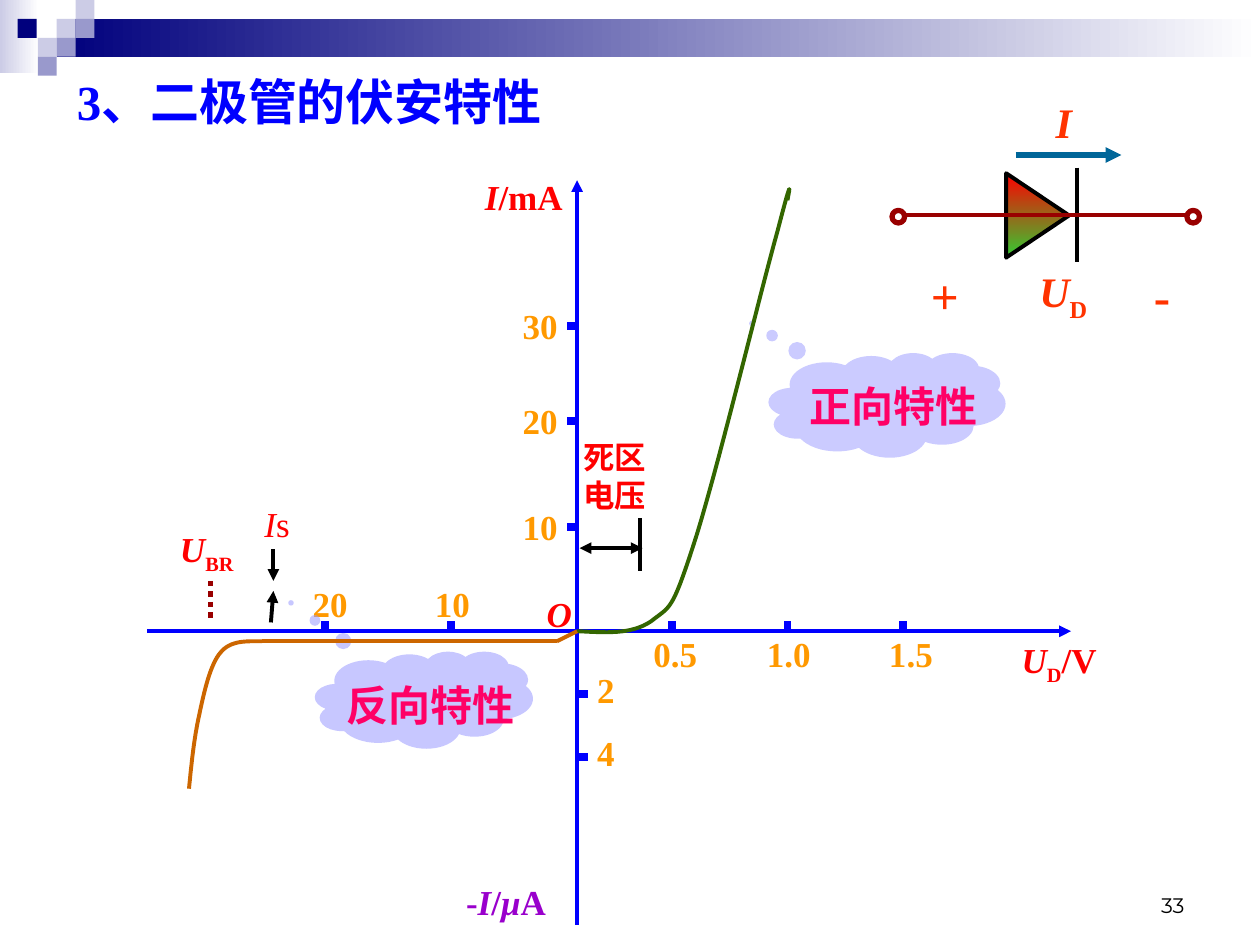
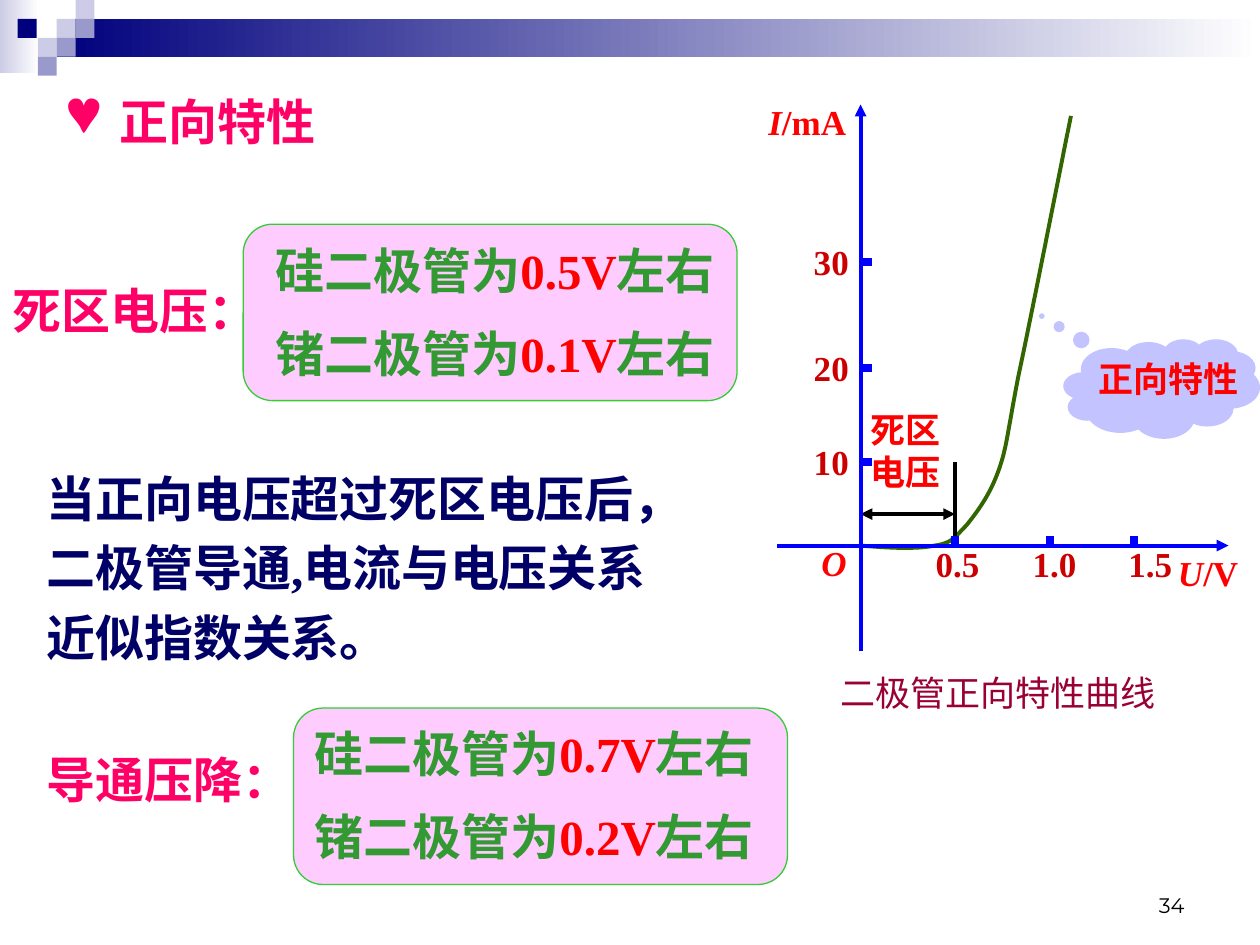
from itertools import chain
from typing import NamedTuple

from lxml.etree import SubElement as sub_el
from pptx import Presentation
from pptx.dml.color import RGBColor as Rgb
from pptx.enum.dml import MSO_LINE as Dash
from pptx.enum.shapes import MSO_CONNECTOR as Conn, MSO_SHAPE as Kind
from pptx.enum.text import MSO_ANCHOR as Anchor, MSO_AUTO_SIZE as Auto, PP_ALIGN as Align
from pptx.oxml.ns import qn
from pptx.slide import Slide
from pptx.util import Pt

PX = 9144  # EMU per px, 100 px to the inch
SERIF, SANS = "Times New Roman", "Montserrat"

BLACK = Rgb(0x00, 0x00, 0x00)
WHITE = Rgb(0xFF, 0xFF, 0xFF)
NAVY = Rgb(0x00, 0x00, 0x7D)
MIST = Rgb(0xCC, 0xCC, 0xE6)
LILAC = Rgb(0x99, 0x99, 0xCC)
CLOUD = Rgb(0x99, 0x99, 0xFF)
BLUE = Rgb(0x00, 0x00, 0xFF)
INK = Rgb(0x00, 0x00, 0x66)
TEAL = Rgb(0x00, 0x66, 0x99)
RED = Rgb(0xFF, 0x00, 0x00)
CRIMSON = Rgb(0xCC, 0x00, 0x00)
MAROON = Rgb(0x99, 0x00, 0x00)
WINE = Rgb(0x99, 0x00, 0x33)
ROSE = Rgb(0xFF, 0x00, 0x66)
CORAL = Rgb(0xFF, 0x33, 0x00)
AMBER = Rgb(0xFF, 0x99, 0x00)
RUST = Rgb(0xCC, 0x66, 0x00)
PLUM = Rgb(0x99, 0x00, 0xCC)
LIME = Rgb(0x33, 0xCC, 0x33)
GREEN = Rgb(0x33, 0x99, 0x33)
MOSS = Rgb(0x33, 0x66, 0x00)
PINK = Rgb(0xFF, 0xCC, 0xFF)

Point = tuple[float, float]
Box = tuple[int, int, int, int]


class Run(NamedTuple):
    text: str
    color: Rgb
    ital: bool = False
    bold: bool = True
    sub: bool = False
    font: str = SERIF


class Label(NamedTuple):
    box: Box
    size: int
    paras: list[list[Run]]
    align: Align = Align.LEFT
    gap: int = 0


class Wire(NamedTuple):
    ends: Box
    color: Rgb
    width: float = 2.25
    tail: bool = False
    head: bool = False
    dash: Dash | None = None


class Cloud(NamedTuple):
    box: Box
    tip: Point
    alpha: int


class Curve(NamedTuple):
    color: Rgb
    start: Point
    bends: list[tuple[Point, Point, Point]]


def scale(box: Box) -> list[int]:
    return [n * PX for n in box]


# Text
def write(frame, label: Label) -> None:
    frame.word_wrap = True
    for i, runs in enumerate(label.paras):
        para = frame.add_paragraph() if i else frame.paragraphs[0]
        para.alignment = label.align
        if i:
            para.space_before = Pt(label.gap)
        for item in runs:
            run = para.add_run()
            run.text = item.text
            font = run.font
            font.name, font.size = item.font, Pt(label.size)
            font.bold, font.italic = item.bold, item.ital
            font.color.rgb = item.color
            if item.sub:
                run._r.get_or_add_rPr().set("baseline", "-25000")


def add_label(slide: Slide, label: Label):
    frame = slide.shapes.add_textbox(*scale(label.box)).text_frame
    write(frame, label)
    return frame


def plain(box: Box, size: int, text: str, color: Rgb, align: Align = Align.LEFT) -> Label:
    return Label(box, size, [[Run(text, color)]], align)


def set_title(slide: Slide, label: Label, mark: str = "") -> None:
    title = slide.shapes.title
    title.left, title.top, title.width, title.height = scale(label.box)
    frame = title.text_frame
    frame.auto_size, frame.vertical_anchor = Auto.NONE, Anchor.TOP
    if mark:
        props = frame.paragraphs[0]._p.get_or_add_pPr()
        props.set("marL", str(42 * PX))
        props.set("indent", str(-42 * PX))
        tint = sub_el(props, qn("a:buClr"))
        sub_el(tint, qn("a:srgbClr"), val=str(label.paras[0][0].color))
        sub_el(props, qn("a:buChar"), char=mark)
    write(frame, label)


# Shapes
def add_form(slide: Slide, kind: Kind, box: Box, fill: Rgb | tuple[Rgb, Rgb] | None,
             line: Rgb | None = None, width: float = 0.75):
    form = slide.shapes.add_shape(kind, *scale(box))
    form.shadow.inherit = False
    if fill is None:
        form.fill.background()
    elif isinstance(fill, Rgb):
        form.fill.solid()
        form.fill.fore_color.rgb = fill
    else:
        form.fill.gradient()
        form.fill.gradient_angle = 0
        for stop, color in zip(form.fill.gradient_stops, fill):
            stop.color.rgb = color
    if line is None:
        form.line.fill.background()
    else:
        form.line.color.rgb, form.line.width = line, Pt(width)
    return form


def add_cloud(slide: Slide, cloud: Cloud) -> None:
    form = add_form(slide, Kind.CLOUD_CALLOUT, cloud.box, CLOUD)
    form.adjustments[0], form.adjustments[1] = cloud.tip
    color = form._element.spPr.find(qn("a:solidFill"))[0]
    sub_el(color, qn("a:alpha"), val=str(cloud.alpha * 1000))


def add_wire(slide: Slide, wire: Wire) -> None:
    link = slide.shapes.add_connector(Conn.STRAIGHT, *scale(wire.ends))
    link.line.color.rgb, link.line.width = wire.color, Pt(wire.width)
    if wire.dash is not None:
        link.line.dash_style = wire.dash
    for tag, shown in (("a:headEnd", wire.head), ("a:tailEnd", wire.tail)):
        if shown:
            sub_el(link.line._get_or_add_ln(), qn(tag), type="triangle")
    sub_el(link._element.spPr, qn("a:effectLst"))


def add_curve(slide: Slide, curve: Curve, steps: int = 16) -> None:
    points, last = [], curve.start
    for a, b, end in curve.bends:
        for t in (i / steps for i in range(1, steps + 1)):
            u = 1 - t
            points.append(tuple(
                PX * (u**3 * p + 3 * u * u * t * q + 3 * u * t * t * r + t**3 * s)
                for p, q, r, s in zip(last, a, b, end)))
        last = end
    pen = slide.shapes.build_freeform(*(PX * n for n in curve.start), scale=1.0)
    pen.add_line_segments(points, close=False)
    form = pen.convert_to_shape()
    form.shadow.inherit = False
    form.fill.background()
    form.line.color.rgb, form.line.width = curve.color, Pt(2.25)


# Parts shared by both slides
def start_slide(deck, number: int) -> Slide:
    slide = deck.slides.add_slide(deck.slide_layouts[5])
    add_form(slide, Kind.RECTANGLE, (0, 0, 31, 58), (MIST, WHITE))
    add_form(slide, Kind.RECTANGLE, (45, 15, 955, 30), (NAVY, WHITE))
    for x, y, color in ((45, 15, MIST), (60, 0, MIST), (60, 15, LILAC), (30, 30, MIST),
                        (14, 15, NAVY), (45, 30, LILAC), (30, 45, LILAC)):
        add_form(slide, Kind.RECTANGLE, (x, y, 15, 15), color)
    page = Label((717, 683, 233, 50), 12,
                 [[Run(str(number), BLACK, bold=False, font=SANS)]], Align.RIGHT)
    add_label(slide, page).vertical_anchor = Anchor.BOTTOM
    return slide


def add_axes(slide: Slide, flat: Box, tall: Box) -> None:
    for ends in (flat, tall):
        add_wire(slide, Wire(ends, BLUE, tail=True))


def mark_x(slide: Slide, axis: int, top: int, color: Rgb,
           marks: list[tuple[int, int, str]]) -> None:
    """Each mark holds the tick's x, the label's middle and the label."""
    for x, mid, text in marks:
        add_wire(slide, Wire((x, axis - 8, x, axis), BLUE, 4.5))
        add_label(slide, plain((mid - 30, top, 60, 43), 20, text, color, Align.CENTER))


def mark_y(slide: Slide, tick: int, left: int, rise: int, color: Rgb,
           marks: list[tuple[int, str]]) -> None:
    for y, text in marks:
        add_wire(slide, Wire((tick, y, tick + 9, y), BLUE, 4.5))
        add_label(slide, plain((left, y - rise, 58, 43), 20, text, color))


def unit(box: Box, sign: str, rest: str, base: str = "") -> Label:
    runs = [Run(sign, RED, ital=True), Run(base, RED, sub=True), Run(rest, RED)]
    return Label(box, 20, [[run for run in runs if run.text]])


# Slide 33: full curve and the symbol
def draw_full(deck) -> None:
    slide = start_slide(deck, 33)
    set_title(slide, plain((51, 52, 417, 57), 28, "3、二极管的伏安特性", BLUE))

    add_axes(slide, (117, 501, 850, 501), (458, 734, 458, 143))
    mark_y(slide, 450, 405, 22, AMBER, [(259, "30"), (334, "20"), (418, "10")])
    mark_y(slide, 458, 464, 25, AMBER, [(551, "2"), (601, "4")])
    mark_x(slide, 501, 497, AMBER,
           [(533, 536, "0.5"), (625, 626, "1.0"), (717, 723, "1.5")])
    mark_x(slide, 501, 457, AMBER, [(258, 262, "20"), (358, 359, "10")])

    for cloud in (Cloud((610, 280, 188, 83), (-0.57, -0.78), 51),
                  Cloud((250, 517, 173, 77), (-0.61, -1), 55)):
        add_cloud(slide, cloud)

    add_curve(slide, Curve(MOSS, (458, 501), [
        ((480, 502), (501, 504), (517, 493)),
        ((532, 481), (533, 486), (550, 434)),
        ((567, 383), (604, 230), (617, 184)),
        ((629, 138), (627, 149), (625, 159))]))
    add_curve(slide, Curve(RUST, (208, 509), [
        ((196, 509), (183, 508), (175, 518)),
        ((167, 527), (162, 549), (158, 568)),
        ((154, 586), (152, 606), (150, 626))]))

    for wire in (
        Wire((458, 501, 442, 509), RUST),
        Wire((442, 509, 208, 509), RUST),
        Wire((508, 453, 508, 411), BLACK),
        Wire((460, 435, 510, 435), BLACK, tail=True, head=True),
        Wire((217, 436, 217, 461), BLACK, tail=True),
        Wire((215, 494, 217, 469), BLACK, tail=True),
        Wire((167, 461, 167, 494), MAROON, 3, dash=Dash.ROUND_DOT),
        Wire((806, 123, 890, 123), TEAL, 3, tail=True),
    ):
        add_wire(slide, wire)

    for label in (
        unit((375, 134, 92, 43), "I", "/mA"),
        unit((801, 502, 92, 43), "U", "/V", "D"),
        unit((424, 465, 50, 43), "O", ""),
        unit((133, 414, 66, 43), "U", "", "BR"),
        Label((200, 394, 45, 43), 20, [[Run("I", RED, True, False), Run("s", RED, bold=False)]]),
        Label((360, 694, 115, 43), 20, [[Run("-", PLUM), Run("I", PLUM, True), Run("/", PLUM),
                                         Run("μ", PLUM, True), Run("А", PLUM)]]),
        plain((633, 297, 166, 50), 24, "正向特性", ROSE),
        plain((265, 534, 172, 50), 24, "反向特性", ROSE),
        plain((453, 343, 83, 70), 18, "死区电压", RED),
        plain((729, 206, 48, 57), 28, "+", CORAL),
        plain((906, 206, 48, 57), 28, "-", CORAL),
        Label((815, 206, 69, 50), 24, [[Run("U", CORAL, True), Run("D", CORAL, sub=True)]]),
        Label((828, 72, 44, 50), 24, [[Run("I", CORAL, True)]]),
    ):
        add_label(slide, label)

    # Diode symbol
    body = add_form(slide, Kind.ISOSCELES_TRIANGLE, (790, 146, 67, 50), (RED, LIME), BLACK, 2.25)
    body.rotation = 90
    add_wire(slide, Wire((855, 133, 855, 208), BLACK))
    add_wire(slide, Wire((718, 171, 942, 171), MAROON))
    for x in (942, 708):
        add_form(slide, Kind.OVAL, (x, 167, 10, 10), None, MAROON, 3)


# Slide 34: forward curve
def draw_forward(deck) -> None:
    slide = start_slide(deck, 34)
    set_title(slide, plain((43, 68, 288, 57), 28, "正向特性", ROSE), "♥")

    # Panels with the typical volts
    for panel, left, top, wide, volts in (
        ((233, 562, 392, 140), 240, 569, 453, ("0.7V", "0.2V")),
        ((193, 178, 392, 140), 209, 186, 426, ("0.5V", "0.1V")),
    ):
        add_form(slide, Kind.FLOWCHART_ALTERNATE_PROCESS, panel, PINK, LIME)
        paras = [[Run(kind + "二极管为", GREEN), Run(volt, RED), Run("左右", GREEN)]
                 for kind, volt in zip("硅锗", volts)]
        add_label(slide, Label((left, top, wide, 127), 28, paras, gap=14))

    lines = ("当正向电压超过死区电压后，", "二极管导通,电流与电压关系", "近似指数关系。")
    notes = [Label((27, 367, 546, 169), 28, [[Run(text, INK)] for text in lines], gap=6),
             plain((0, 218, 240, 57), 28, "死区电压：", ROSE),
             plain((27, 590, 267, 57), 28, "导通压降：", ROSE)]

    # Chart of the forward branch
    add_cloud(slide, Cloud((844, 269, 156, 79), (-0.61, -0.73), 58))
    add_curve(slide, Curve(MOSS, (683, 433), [
        ((706, 435), (728, 436), (742, 433)),
        ((756, 431), (758, 426), (767, 417)),
        ((775, 407), (785, 394), (792, 375)),
        ((799, 356), (799, 347), (808, 300)),
        ((818, 253), (834, 172), (850, 92))]))
    add_wire(slide, Wire((758, 425, 758, 367), BLACK))
    add_wire(slide, Wire((683, 408, 758, 408), BLACK, tail=True, head=True))
    mark_x(slide, 433, 426, CRIMSON,
           [(758, 760, "0.5"), (833, 837, "1.0"), (900, 913, "1.5")])
    mark_y(slide, 683, 636, 22, CRIMSON, [(208, "30"), (292, "20"), (367, "10")])
    add_axes(slide, (617, 433, 975, 433), (683, 517, 683, 83))

    names = [plain((681, 319, 76, 77), 20, "死区电压", RED),
             plain((862, 279, 138, 43), 20, "正向特性", RED),
             unit((925, 433, 75, 43), "U", "/V"),
             unit((600, 75, 83, 43), "I", "/mA"),
             unit((642, 425, 50, 43), "O", ""),
             Label((657, 528, 302, 43), 20, [[Run("二极管正向特性曲线", WINE, bold=False)]])]
    for label in chain(notes, names):
        add_label(slide, label)


def main() -> None:
    deck = Presentation()
    deck.slide_width, deck.slide_height = 1000 * PX, 750 * PX
    draw_full(deck)
    draw_forward(deck)
    deck.save("out.pptx")


if __name__ == "__main__":
    main()
